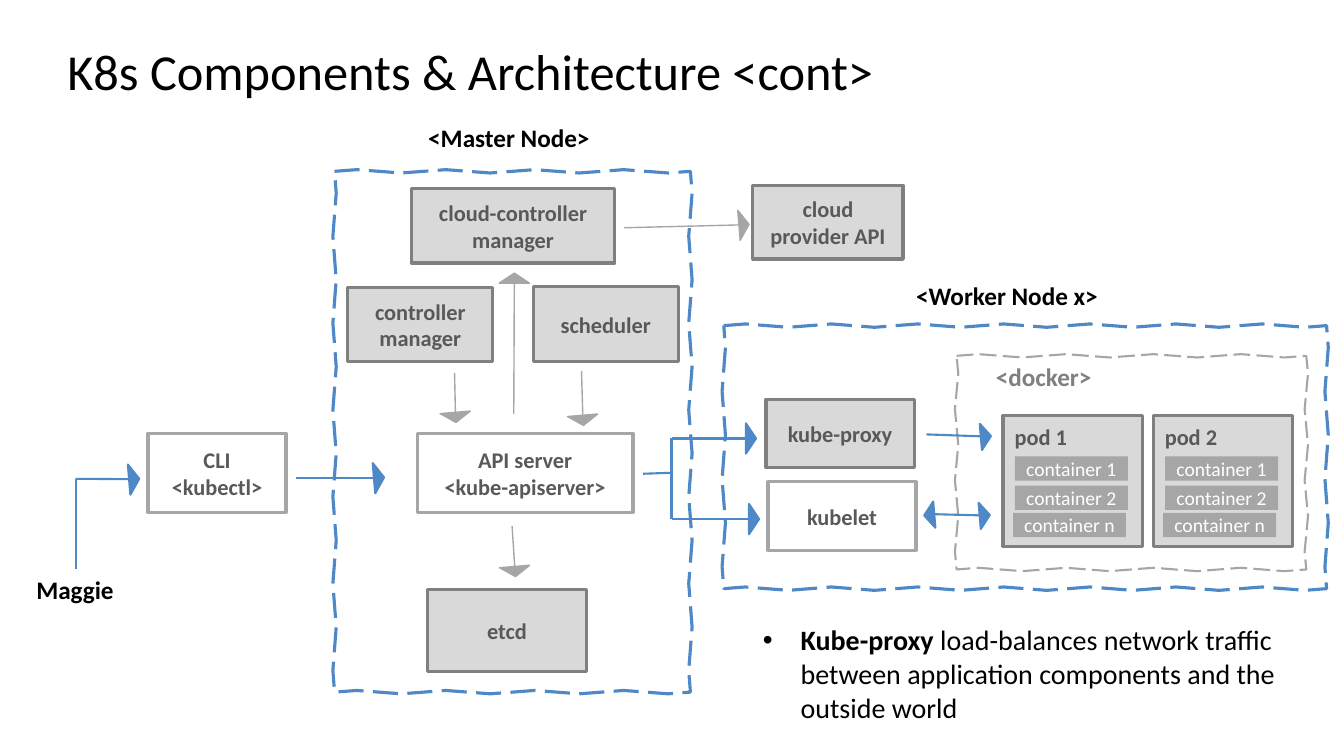
import math
from collections import namedtuple

from lxml import etree
from pptx import Presentation
from pptx import util as u
from pptx.dml import color
from pptx.enum import dml, shapes, text
from pptx.oxml import ns

COLOURS = {"black": "000000", "white": "FFFFFF", "blue": "4E88C7", "pale": "D9D9D9",
           "silver": "A6A6A6", "grey": "808080", "dark": "595959"}
FONT = "Calibri"
RIGHT, DOWN, LEFT = 90, 180, 270
TILT = -4.8

Box = namedtuple("Box", "left top width height")


def rgb(name):
    """Return the named colour."""
    return color.RGBColor.from_string(COLOURS[name])


def within(box, left, top, width, height):
    """Return a box whose corner is measured from the corner of another."""
    return Box(box.left + left, box.top + top, width, height)


def paint(shape, fill=None, line=None, width=1):
    """Set fill and outline and drop the shadow."""
    shape.shadow.inherit = False
    if fill:
        shape.fill.solid()
        shape.fill.fore_color.rgb = rgb(fill)
    else:
        shape.fill.background()
    if line:
        shape.line.color.rgb = rgb(line)
        shape.line.width = u.Pt(width)
    else:
        shape.line.fill.background()


def style(paragraph, size, colour, bold=False, centred=False):
    """Set the font and alignment of a paragraph."""
    paragraph.font.name = FONT
    paragraph.font.size = u.Pt(size)
    paragraph.font.bold = bold
    paragraph.font.color.rgb = rgb(colour)
    paragraph.alignment = text.PP_ALIGN.CENTER if centred else text.PP_ALIGN.LEFT


def add_label(slide, box, words, size=18, colour="black", bold=True, centred=False, middle=False):
    """Add a text box with one paragraph and return the paragraph."""
    frame = slide.shapes.add_textbox(*map(u.Pt, box)).text_frame
    frame.word_wrap = True
    frame.vertical_anchor = text.MSO_ANCHOR.MIDDLE if middle else text.MSO_ANCHOR.TOP
    paragraph = frame.paragraphs[0]
    paragraph.text = words
    style(paragraph, size, colour, bold, centred)
    return paragraph


def add_node(slide, box, lines=(), fill="pale", line="grey", size=16, colour="dark", bold=True):
    """Add a rectangle with centred lines of text."""
    shape = slide.shapes.add_shape(shapes.MSO_SHAPE.RECTANGLE, *map(u.Pt, box))
    paint(shape, fill, line, 2.25)
    frame = shape.text_frame
    frame.word_wrap = True
    frame.vertical_anchor = text.MSO_ANCHOR.MIDDLE
    for index, words in enumerate(lines):
        paragraph = frame.add_paragraph() if index else frame.paragraphs[0]
        paragraph.text = words
        style(paragraph, size, colour, bold, centred=True)
    return shape


def add_line(slide, box, start, end, colour, width):
    """Draw a straight line between two points of a box."""
    ends = [u.Pt(corner + offset) for point in (start, end)
            for corner, offset in zip(box[:2], point)]
    connector = slide.shapes.add_connector(shapes.MSO_CONNECTOR.STRAIGHT, *ends)
    connector.line.color.rgb = rgb(colour)
    connector.line.width = u.Pt(width)
    etree.SubElement(connector._element.spPr, ns.qn("a:effectLst"))


def add_head(slide, box, centre, rotation, colour, width, span=21.6, depth=7.2):
    """Add a flat triangle centred on a point of a box."""
    place = within(box, centre[0] - span / 2, centre[1] - depth / 2, span, depth)
    head = slide.shapes.add_shape(shapes.MSO_SHAPE.ISOSCELES_TRIANGLE, *map(u.Pt, place))
    head.rotation = rotation
    paint(head, colour, colour, width)


def add_arrow(slide, box, start, end, rotation, colour="blue", width=1.5, span=21.6):
    """Draw a line that ends in a triangle."""
    add_line(slide, box, start, end, colour, width)
    add_head(slide, box, end, rotation, colour, width, span)


def add_wavy_frame(slide, box, line, width, fill=None, wave=60):
    """Add a dashed rectangle whose sides wobble with a given wave length."""
    left, top, right, bottom = box.left, box.top, box.left + box.width, box.top + box.height
    corners = [(left, top), (right, top), (right, bottom), (left, bottom), (left, top)]
    points = []
    for (x1, y1), (x2, y2) in zip(corners, corners[1:]):
        length = math.hypot(x2 - x1, y2 - y1)
        bends = 2 * round(length / wave)
        points.append((u.Pt(x1), u.Pt(y1)))
        for bend in range(bends):
            part = (bend + 0.5) / bends
            shift = (-1) ** bend * 1.2 / length
            points.append((u.Pt(x1 + (x2 - x1) * part + (y2 - y1) * shift),
                           u.Pt(y1 + (y2 - y1) * part - (x2 - x1) * shift)))
    builder = slide.shapes.build_freeform(*points[0])
    builder.add_line_segments(points[1:], close=True)
    shape = builder.convert_to_shape()
    paint(shape, fill, line, width)
    shape.line.dash_style = dml.MSO_LINE.LONG_DASH


def add_pod(slide, box, name):
    """Add a pod with its three containers."""
    add_node(slide, box)
    add_label(slide, within(box, -3.6, 2.2, 61.2, 26.6), name, 16, "dark", centred=True)
    for words, left, top in (("1", 8.6, 29.5), ("2", 8.6, 50.4), ("n", 7.2, 69.8)):
        container = add_node(slide, within(box, left, top, 80.6, 17.3), [f"container {words}"],
                             "silver", None, 14, "white", False)
        container.text_frame.margin_left = container.text_frame.margin_right = 0


def add_docker(slide, box):
    """Add the docker frame with its pods."""
    add_wavy_frame(slide, box, "silver", 1.5, "white")
    add_label(slide, within(box, 20.9, 0, 206.6, 28.8), "<docker>", colour="grey")
    for index in range(2):
        add_pod(slide, within(box, 33.1 + 107.3 * index, 42.4, 99.4, 93.6), f"pod {index + 1}")


def add_worker(slide, box):
    """Add the worker node with its services and docker."""
    add_label(slide, within(box, 130.3, -36, 206.6, 28.8), "<Worker Node x>")
    add_docker(slide, within(box, 166.3, 21.6, 249.8, 152.6))
    add_wavy_frame(slide, box, "blue", 2.25)
    add_node(slide, within(box, 31.6, 111.6, 105.8, 49), ["kubelet"], "white", "silver")
    add_node(slide, within(box, 30.2, 52.5, 105.8, 49), ["kube-proxy"])
    add_arrow(slide, box, (144.7, 77.7), (187.2, 79.2), RIGHT + TILT, span=18.7)
    add_arrow(slide, box, (146.8, 134.6), (186.4, 135.6), RIGHT + TILT, span=18.7)
    add_head(slide, box, (146.8, 135.3), LEFT + TILT, "blue", 1.5, 18.7)


def add_master(slide, box):
    """Add the master node, the cloud provider and the fork to the worker."""
    add_wavy_frame(slide, box, "blue", 2.25, "white")
    add_label(slide, within(box, 59.8, -38.2, 187.2, 28.8), "<Master Node>")
    add_node(slide, within(box, 59.1, 187.2, 154.1, 56.2),
             ["API server", "<kube-apiserver>"], "white", "silver")
    for words, *place in (("cloud-controller manager", 54.8, 12.2, 145.4, 53.3),
                          ("controller manager", 9.4, 82.8, 103.7, 53.3),
                          ("scheduler", 141.9, 82.1, 103.7, 54),
                          ("etcd", 66.3, 298.8, 113.8, 58.3),
                          ("cloud provider API", 298.8, 10.1, 107.3, 52.6)):
        add_node(slide, within(box, *place), [words])
    for start, end, rotation in (((126.8, 253.4), (128.9, 285.8), DOWN + TILT),
                                 ((85.7, 144), (86.4, 175.7), DOWN + TILT),
                                 ((176.4, 142.6), (177.4, 177.8), DOWN + TILT),
                                 ((128, 173.5), (128.4, 76.3), 0),
                                 ((206.7, 40.3), (292.4, 38.2), RIGHT + TILT)):
        add_arrow(slide, box, start, end, rotation, "silver", 1)
    add_line(slide, box, (220.4, 216), (240.7, 215.3), "blue", 1.5)
    add_line(slide, box, (240.7, 190.8), (240.7, 248.4), "blue", 1.5)
    add_arrow(slide, box, (240.7, 190.8), (297.4, 190.8), RIGHT)
    add_arrow(slide, box, (240.7, 248.4), (299.6, 248.4), RIGHT)


def add_user(slide, box):
    """Add the user and the command line that leads to the master."""
    add_node(slide, within(box, 105.8, 0, 98.6, 56.2), ["CLI", "<kubectl>"], "white", "silver")
    add_label(slide, within(box, 0, 92.2, 107.2, 38.9), "Maggie", centred=True, middle=True)
    add_line(slide, box, (54, 96.5), (54, 32.4), "blue", 1.5)
    add_arrow(slide, box, (54, 32.4), (95.8, 32.7), RIGHT + TILT)
    add_arrow(slide, box, (211.7, 31.7), (270.7, 31.7), RIGHT + TILT)


def add_note(slide, box):
    """Add the bulleted remark on the proxy."""
    paragraph = add_label(slide, box, "", 20, bold=False)
    properties = paragraph._p.get_or_add_pPr()
    properties.set("marL", str(u.Pt(27)))
    properties.set("indent", str(u.Pt(-27)))
    properties.insert(0, etree.Element(ns.qn("a:buFont"), typeface="Arial"))
    properties.insert(1, etree.Element(ns.qn("a:buChar"), char="•"))
    lead = paragraph.add_run()
    lead.text = "Kube-proxy "
    lead.font.bold = True
    paragraph.add_run().text = ("load-balances network traffic between application "
                                "components and the outside world")


def main():
    """Build the slide and save it."""
    presentation = Presentation()
    presentation.slide_width, presentation.slide_height = u.Pt(960), u.Pt(540)
    slide = presentation.slides.add_slide(presentation.slide_layouts[6])
    title = add_label(slide, Box(41, 0.7, 828, 104.4), "K8s Components & Architecture <cont>",
                      36, bold=False, middle=True)
    title.line_spacing = 0.9
    add_worker(slide, Box(517, 232.6, 430.6, 187.9))
    add_master(slide, Box(239, 122.4, 254.2, 372))
    add_user(slide, Box(0, 309.6, 270.7, 131.1))
    add_note(slide, Box(537.8, 441.4, 398.9, 79.9))
    presentation.save("out.pptx")


if __name__ == "__main__":
    main()
